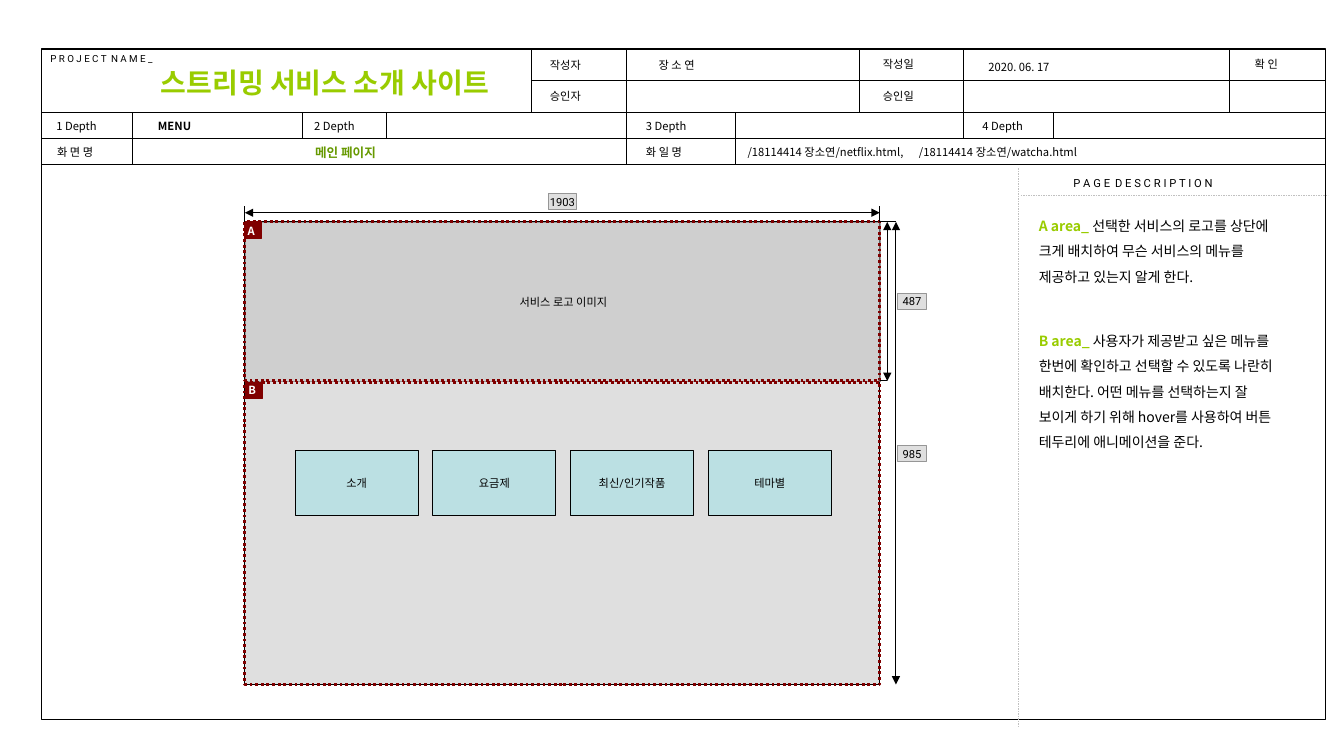
from lxml.etree import SubElement
from pptx import Presentation
from pptx.dml.color import RGBColor
from pptx.enum.dml import MSO_LINE
from pptx.enum.shapes import MSO_CONNECTOR, MSO_SHAPE
from pptx.enum.text import MSO_ANCHOR as ANCHOR, MSO_AUTO_SIZE as AUTO, PP_ALIGN as ALIGN
from pptx.oxml.ns import qn
from pptx.util import Cm, Pt

HEX = {"black": "000000", "white": "FFFFFF", "lime": "99CC00", "green": "669900",
       "maroon": "800000", "silver": "C0C0C0", "gray": "969696", "aqua": "BBE0E3"}
NOTO, ROBOTO = "Noto Sans CJK KR", "Roboto"
PLAIN = {"size": Pt(8), "name": NOTO, "bold": False}
LATIN = PLAIN | {"name": ROBOTO}
SMALL = LATIN | {"size": Pt(7)}
BOLD = PLAIN | {"bold": True}
PAGE = BOLD | {"size": Pt(9)}
BODY = PLAIN | {"size": Pt(10)}
LEAD = BODY | {"bold": True}
HEADING = BOLD | {"size": Pt(20)}
TIGHT = {"margin_left": 0, "margin_right": 0, "margin_top": 0, "margin_bottom": 0}
ROOMY = {"margin_left": Cm(0.27), "margin_right": Cm(0.27),
         "margin_top": Cm(0.14), "margin_bottom": Cm(0.14)}


def write(frame, runs, settings, align=ALIGN.LEFT, spacing=None, tab=None):
    """Fill a text frame with one paragraph of (text, format, colour) runs."""
    for key, value in settings.items():
        setattr(frame, key, value)
    paragraph = frame.paragraphs[0]
    paragraph.alignment = align
    if spacing:
        paragraph.line_spacing = spacing
    if tab:
        stops = SubElement(paragraph._p.get_or_add_pPr(), qn("a:tabLst"))
        SubElement(stops, qn("a:tab"), pos=str(Cm(tab)), algn="l")
    for text, style, colour in runs:
        run = paragraph.add_run()
        run.text = text
        for key, value in style.items():
            setattr(run.font, key, value)
        run.font.color.rgb = RGBColor.from_string(HEX[colour])
        SubElement(run.font._element, qn("a:ea"), typeface=NOTO)


deck = Presentation()
deck.slide_width, deck.slide_height = Cm(33.87), Cm(19.05)
slide = deck.slides.add_slide(deck.slide_layouts[5])
shapes = slide.shapes

# Project title
title = shapes.title
place = {"left": 3.78, "top": 1.52, "width": 10.39, "height": 1.14}
for side, length in place.items():
    setattr(title, side, Cm(length))
write(title.text_frame, [("스트리밍 서비스 소개 사이트", HEADING, "lime")],
      ROOMY | {"vertical_anchor": ANCHOR.TOP, "auto_size": AUTO.NONE, "word_wrap": True})

# Boxes: left, top, width, height, fill, opacity, outline, weight, dash, text
LEFT, TOP, WIDTH, LOGO_H, MENU_H = 6.17, 5.59, 16, 4.01, 7.62
MENU_TOP, RIGHT, BOTTOM = 9.63, LEFT + WIDTH, 17.25
boxes = [
    (1.04, 1.24, 32.36, 16.89, None, 100, "black", 1, None, ""),
    (LEFT, TOP, WIDTH, BOTTOM - TOP, "silver", 50, "black", 0.75, None, ""),
    (6.2, 5.61, WIDTH, LOGO_H, "silver", 50, "gray", 0.75, None, "서비스 로고 이미지"),
    (LEFT, TOP, WIDTH, LOGO_H, None, 100, "maroon", 2, MSO_LINE.ROUND_DOT, ""),
    (LEFT, MENU_TOP, WIDTH, MENU_H, None, 100, "maroon", 2, MSO_LINE.ROUND_DOT, ""),
    (LEFT, TOP, 0.41, 0.41, "maroon", 100, "maroon", 0.75, None, ""),
    (6.2, MENU_TOP, 0.41, 0.41, "maroon", 100, "maroon", 0.75, None, ""),
]
for size, left, top in (("1903", 13.82, 4.88), ("487", 22.63, 7.39), ("985", 22.63, 11.23)):
    boxes.append((left, top, 0.71, 0.41, "silver", 50, "gray", 0.75, None, size))
for column, menu in enumerate(("소개", "요금제", "최신/인기작품", "테마별")):
    boxes.append((7.44 + 3.47 * column, 11.35, 3.1, 1.65, "aqua", 100, "black", 0.75, None, menu))

for left, top, width, height, fill, opacity, outline, weight, dash, text in boxes:
    box = shapes.add_shape(MSO_SHAPE.RECTANGLE, Cm(left), Cm(top), Cm(width), Cm(height))
    box.shadow.inherit = False
    if fill:
        box.fill.solid()
        box.fill.fore_color.rgb = RGBColor.from_string(HEX[fill])
        if opacity < 100:
            colour = box._element.spPr.find(qn("a:solidFill"))[0]
            SubElement(colour, qn("a:alpha"), val=str(opacity * 1000))
    else:
        box.fill.background()
    box.line.color.rgb = RGBColor.from_string(HEX[outline])
    box.line.width = Pt(weight)
    if dash:
        box.line.dash_style = dash
    if text:
        write(box.text_frame, [(text, LATIN, "black")],
              TIGHT | {"word_wrap": False, "vertical_anchor": ANCHOR.MIDDLE}, ALIGN.CENTER)

# Lines: start x, start y, end x, end y, colour, weight, kind
ROWS = (1.24, 2.03, 2.84, 3.49, 4.15)
lines = [(13.4, ROWS[1], 33.4, ROWS[1], "black", 0.5, "")]
lines += [(1.04, y, 33.4, y, "black", 0.5, "") for y in ROWS[2:]]
for x, first, last in ((13.39, 0, 2), (15.8, 0, 4), (21.67, 0, 2), (24.28, 0, 3),
                       (30.99, 0, 2), (3.34, 2, 4), (7.62, 2, 3), (9.73, 2, 3),
                       (18.53, 2, 4), (26.54, 2, 3)):
    lines.append((x, ROWS[first], x, ROWS[last], "black", 0.75, ""))
lines += [
    (25.65, 4.24, 25.65, 18.34, "silver", 0.25, "dash"),
    (25.73, 4.93, 33.48, 4.93, "silver", 0.25, "dash"),
    (RIGHT, TOP, 22.58, TOP, "black", 0.75, ""),
    (RIGHT, 9.6, 22.36, 9.6, "black", 0.75, ""),
    (LEFT, TOP, LEFT, 5.18, "black", 0.75, ""),
    (RIGHT, TOP, RIGHT, 5.18, "black", 0.75, ""),
    (LEFT, 5.36, RIGHT, 5.36, "black", 0.75, "arrow"),
    (22.36, TOP, 22.36, 9.6, "black", 0.75, "arrow"),
    (22.58, TOP, 22.58, BOTTOM, "black", 0.75, "arrow"),
]
for x1, y1, x2, y2, colour, weight, kind in lines:
    rule = shapes.add_connector(MSO_CONNECTOR.STRAIGHT, Cm(x1), Cm(y1), Cm(x2), Cm(y2))
    rule.line.color.rgb = RGBColor.from_string(HEX[colour])
    rule.line.width = Pt(weight)
    if kind == "dash":
        rule.line.dash_style = MSO_LINE.DASH
    if kind == "arrow":
        for end in ("a:headEnd", "a:tailEnd"):
            SubElement(rule.line._get_or_add_ln(), qn(end), type="triangle")
    SubElement(rule._element.spPr, qn("a:effectLst"))

# Header field names
for name, left, top, width in (
        ("작성자", 13.61, 1.34, 1.37), ("승인자", 13.61, 2.13, 1.37),
        ("작성일", 22, 1.32, 1.37), ("승인일", 22, 2.13, 1.37), ("확 인", 31.37, 1.32, 1.17),
        ("1 Depth", 1.17, 2.87, 1.55), ("2 Depth", 7.67, 2.87, 1.55),
        ("3 Depth", 16.03, 2.87, 1.55), ("4 Depth", 24.51, 2.87, 1.55),
        ("화 면 명", 1.19, 3.53, 1.55), ("화 일 명", 16.03, 3.53, 1.55)):
    field = shapes.add_textbox(Cm(left), Cm(top), Cm(width), Cm(0.61))
    write(field.text_frame, [(name, PLAIN, "black")], {"word_wrap": False})

# Header values, captions and area letters
for text, left, top, width, height, style, colour, tab in (
        ("P R O J E C T\tN A M E _", 1.0, 1.18, 6.12, 0.56, SMALL, "black", 1.53),
        ("P A G E\tD E S C R I P T I O N", 26.78, 4.3, 5.46, 0.58, LATIN, "black", 1.05),
        ("장 소 연", 16.33, 1.32, 3.81, 0.61, PLAIN, "black", None),
        ("2020. 06. 17", 24.64, 1.37, 3.81, 0.61, PLAIN, "black", None),
        ("MENU", 3.71, 2.87, 2.59, 0.61, BOLD, "black", None),
        ("메인 페이지", 7.67, 3.51, 2.59, 0.66, PAGE, "green", None),
        ("/18114414 장소연/netflix.html,\t/18114414 장소연/watcha.html",
         18.57, 3.51, 13.34, 0.64, PLAIN, "black", 4.32),
        ("A", 5.97, 5.51, 0.61, 0.61, BOLD, "white", None),
        ("B", 5.99, 9.53, 1.37, 0.64, BOLD, "white", None)):
    entry = shapes.add_textbox(Cm(left), Cm(top), Cm(width), Cm(height))
    write(entry.text_frame, [(text, style, colour)], ROOMY | {"word_wrap": True}, tab=tab)

# Page description
for area, top, height, description in (
        ("A area_ ", 5.13, 2.11, "선택한 서비스의 로고를 상단에 크게 배치하여 무슨 서비스의 메뉴를 "
         "제공하고 있는지 알게 한다."),
        ("B area_ ", 8.03, 3.38, "사용자가 제공받고 싶은 메뉴를 한번에 확인하고 선택할 수 있도록 나란히 "
         "배치한다. 어떤 메뉴를 선택하는지 잘 보이게 하기 위해 hover를 사용하여 버튼 "
         "테두리에 애니메이션을 준다.")):
    note = shapes.add_textbox(Cm(25.91), Cm(top), Cm(6.78), Cm(height))
    write(note.text_frame, [(area, LEAD, "lime"), (description, BODY, "black")],
          ROOMY | {"word_wrap": True}, spacing=1.5)

deck.save("out.pptx")
